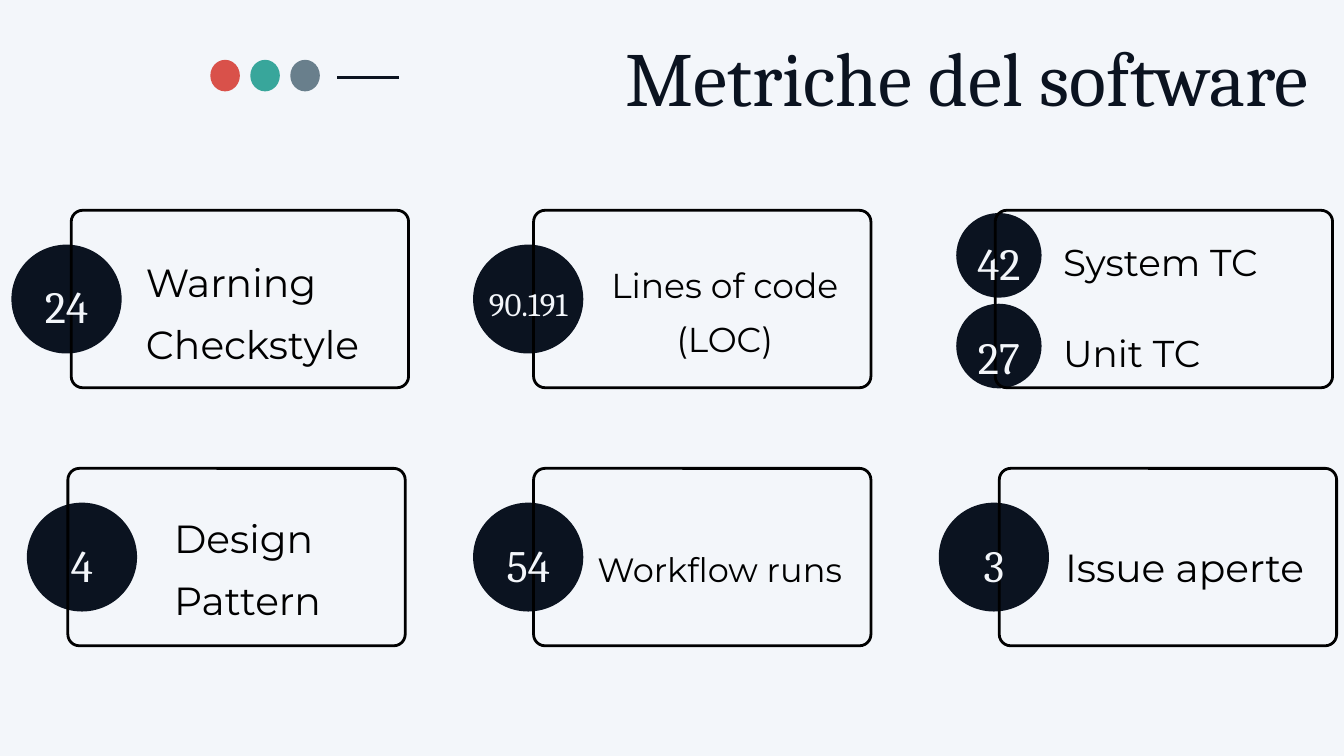
"""Build the software metrics slide."""
from dataclasses import dataclass

import pptx
import pptx.dml.color
import pptx.enum.shapes
import pptx.enum.text
import pptx.oxml
import pptx.oxml.ns
import pptx.util
from pptx.util import Inches

INK = {
    "paper": "F3F6FA", "navy": "0B1320", "black": "000000",
    "red": "D9514A", "teal": "38A69B", "slate": "697F8C",
}
KIND = pptx.enum.shapes.MSO_SHAPE
ALIGN = pptx.enum.text.PP_ALIGN
ANCHOR = pptx.enum.text.MSO_ANCHOR
ROWS = (3.13, 6.97)
CARD_W, CARD_H, CURVE = 5.02, 2.64, 0.17


@dataclass
class Box:
    left: float
    top: float
    width: float
    height: float

    def spread(self) -> list:
        return [Inches(v) for v in (self.left, self.top, self.width, self.height)]


@dataclass
class Disc:
    box: Box
    text: str
    drop: float = 0.09
    tall: float = 1.33
    size: int = 48


@dataclass
class Label:
    box: Box
    text: str
    size: int = 42
    align: ALIGN = ALIGN.LEFT
    gap: int = 0


@dataclass
class Card:
    left: float
    row: int
    discs: list[Disc]
    label: Label


def color(name: str) -> pptx.dml.color.RGBColor:
    return pptx.dml.color.RGBColor.from_string(INK[name])


def big(left: float, row: int, text: str, size: int = 48) -> Disc:
    return Disc(Box(left, ROWS[row] + 0.51, 1.64, 1.62), text, size=size)


def small(top: float, text: str, drop: float) -> Disc:
    return Disc(Box(14.23, top, 1.27, 1.26), text, drop, 1.07)


def oval(slide, box: Box, name: str) -> None:
    shape = slide.shapes.add_shape(KIND.OVAL, *box.spread())
    shape.shadow.inherit = False
    shape.fill.solid()
    shape.fill.fore_color.rgb = color(name)
    shape.line.fill.background()


def frame(slide, box: Box) -> None:
    shape = slide.shapes.add_shape(KIND.ROUNDED_RECTANGLE, *box.spread())
    shape.adjustments[0] = CURVE / CARD_H
    shape.shadow.inherit = False
    shape.fill.background()
    shape.line.color.rgb = color("black")
    shape.line.width = pptx.util.Pt(3)


def write(slide, label: Label, font: str, name: str, pitch: float,
          anchor: ANCHOR = ANCHOR.TOP) -> None:
    body = slide.shapes.add_textbox(*label.box.spread()).text_frame
    body.word_wrap = True
    body.margin_left = body.margin_right = body.margin_top = body.margin_bottom = 0
    body.vertical_anchor = anchor
    body.text = label.text
    for spot, para in enumerate(body.paragraphs):
        para.alignment = label.align
        para.line_spacing = pitch
        if spot and label.gap:
            para.space_before = pptx.util.Pt(label.gap)
        for run in para.runs:
            run.font.name = font
            run.font.size = pptx.util.Pt(label.size)
            run.font.color.rgb = color(name)


def count(slide, disc: Disc) -> None:
    box = disc.box
    inner = Box(box.left + 0.05, box.top + disc.drop, box.width - 0.1, disc.tall)
    label = Label(inner, disc.text, disc.size, ALIGN.CENTER)
    write(slide, label, "Cambria", "paper", 1.4, ANCHOR.MIDDLE)


def draw(slide, card: Card) -> None:
    for disc in card.discs:
        oval(slide, disc.box, "navy")
    frame(slide, Box(card.left, ROWS[card.row], CARD_W, CARD_H))
    for disc in card.discs:
        count(slide, disc)
    write(slide, card.label, "Montserrat", "black", 1.3)


def rule(slide, left: float, right: float, top: float) -> None:
    line = slide.shapes.add_connector(
        pptx.enum.shapes.MSO_CONNECTOR.STRAIGHT,
        Inches(left), Inches(top), Inches(right), Inches(top))
    line.line.color.rgb = color("navy")
    line.line.width = pptx.util.Pt(3)
    props = line._element.spPr
    props.append(pptx.oxml.parse_xml(
        f"<a:effectLst {pptx.oxml.ns.nsdecls('a')}/>"))


CARDS = [
    Card(1.06, 0, [big(0.17, 0, "24")],
         Label(Box(2.17, 3.64, 3.26, 1.63), "Warning Checkstyle")),
    Card(7.94, 0, [big(7.04, 0, "90.191", 35)],
         Label(Box(8.99, 3.74, 3.59, 1.43), "Lines of code\n(LOC)", 37, ALIGN.CENTER)),
    Card(14.81, 0, [small(3.17, "42", 0.05), small(4.52, "27", 0.09)],
         Label(Box(15.82, 3.36, 3.72, 2.07), "System TC\nUnit TC", 40, gap=35)),
    Card(1.01, 1, [big(0.4, 1, "4")],
         Label(Box(2.59, 7.45, 2.71, 1.63), "Design Pattern")),
    Card(7.94, 1, [big(7.04, 1, "54")],
         Label(Box(8.89, 7.99, 3.86, 0.61), "Workflow runs", 36)),
    Card(14.87, 1, [big(13.97, 1, "3")],
         Label(Box(15.85, 7.88, 3.86, 0.71), "Issue aperte")),
]


def main() -> None:
    deck = pptx.Presentation()
    deck.slide_width, deck.slide_height = Inches(20), Inches(11.25)
    slide = deck.slides.add_slide(deck.slide_layouts[6])
    slide.background.fill.solid()
    slide.background.fill.fore_color.rgb = color("paper")
    for spot, name in enumerate(("red", "teal", "slate")):
        oval(slide, Box(3.13 + 0.595 * spot, 0.89, 0.44, 0.47), name)
    rule(slide, 5.02, 5.94, 1.15)
    for card in CARDS:
        draw(slide, card)
    title = Label(Box(7.09, 0.17, 12.37, 1.38), "Metriche del software", 82, ALIGN.RIGHT)
    write(slide, title, "Cambria", "navy", 1.2)
    deck.save("out.pptx")


if __name__ == "__main__":
    main()
